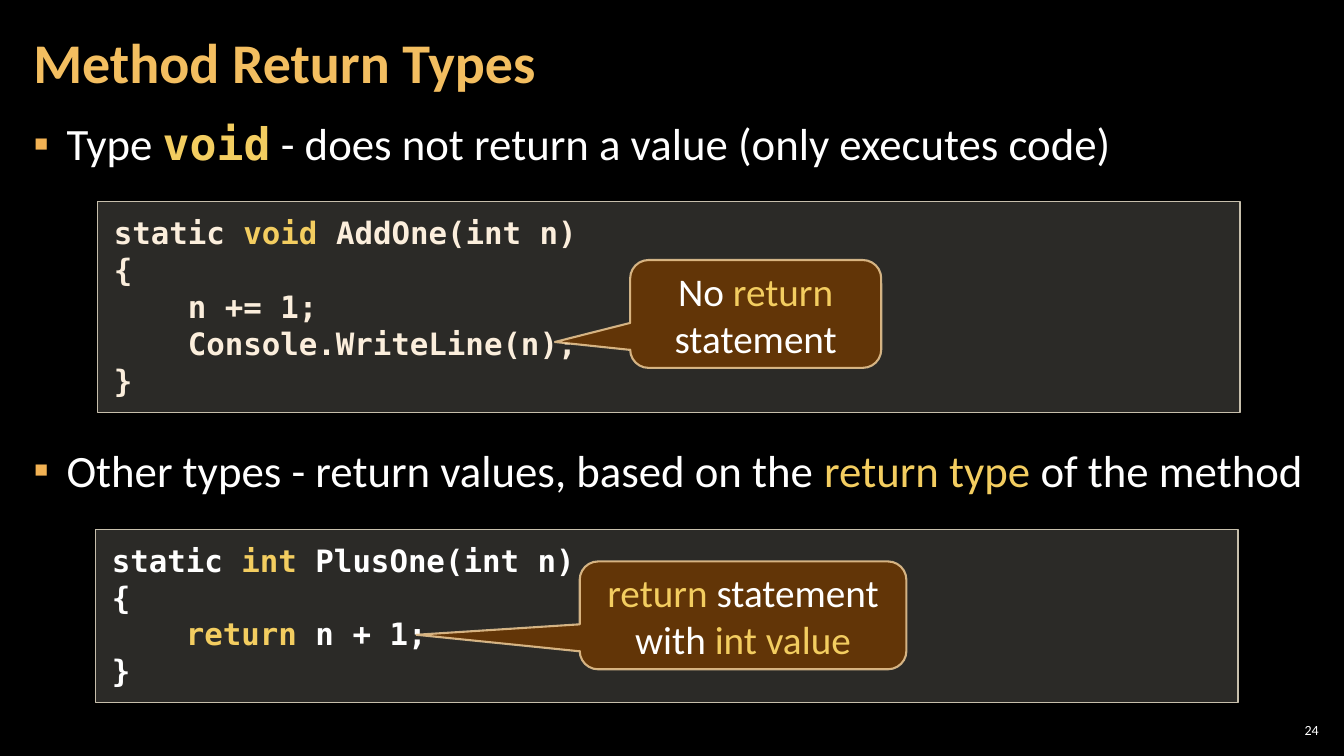
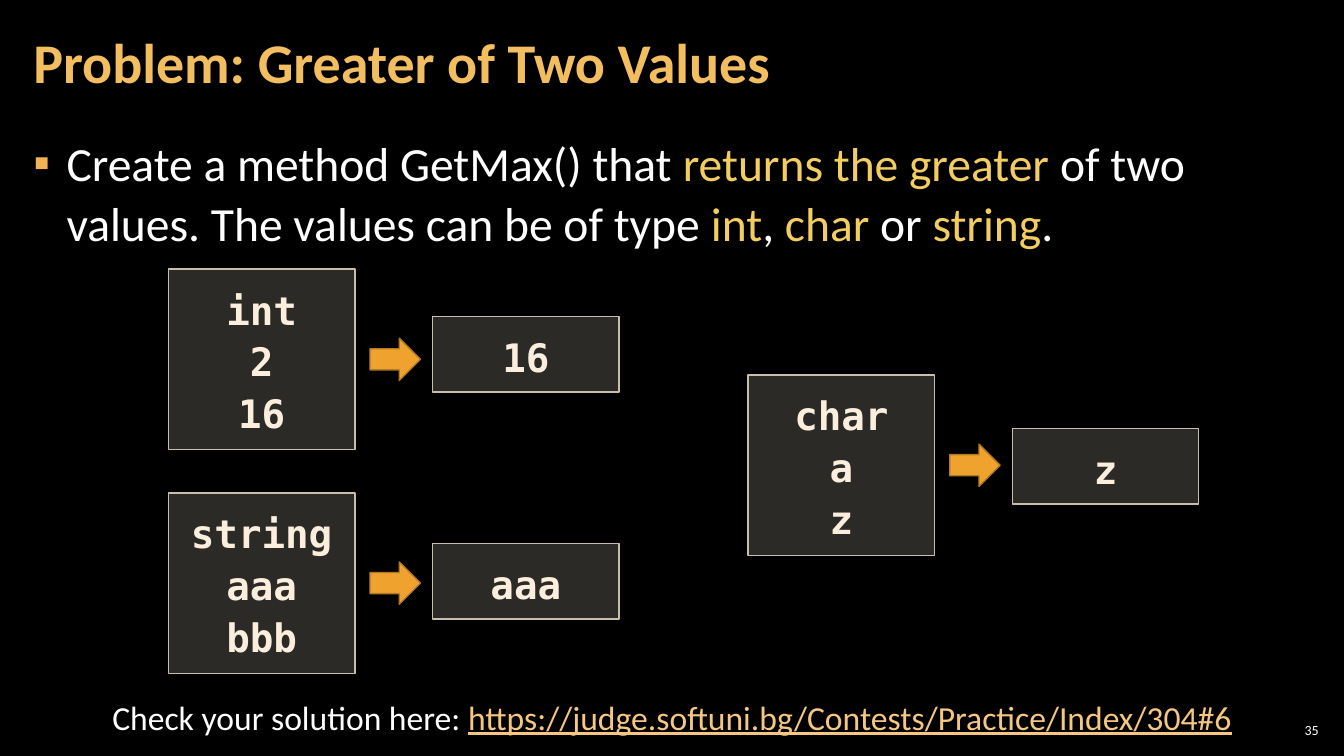
"""Build two slides about method return types."""
import lxml.etree
import pptx
import pptx.dml.color
import pptx.enum.shapes
import pptx.enum.text
import pptx.oxml.ns
import pptx.util

Inches = pptx.util.Inches
Pt = pptx.util.Pt
RGBColor = pptx.dml.color.RGBColor
Shape = pptx.enum.shapes.MSO_SHAPE
Align = pptx.enum.text.PP_ALIGN
Anchor = pptx.enum.text.MSO_ANCHOR
qn = pptx.oxml.ns.qn

BLACK = RGBColor(0x00, 0x00, 0x00)
WHITE = RGBColor(0xFF, 0xFF, 0xFF)
TITLE_GOLD = RGBColor(0xF3, 0xBE, 0x60)
BULLET_GOLD = RGBColor(0xF2, 0xB2, 0x54)
MARK_GOLD = RGBColor(0xF3, 0xCD, 0x60)
LINK_GOLD = RGBColor(0xF6, 0xC7, 0x81)
CREAM = RGBColor(0xFB, 0xEE, 0xDC)
BOX_FILL = RGBColor(0xD9, 0xD5, 0xC7)
BOX_LINE = RGBColor(0xC7, 0xBF, 0xAC)
CALLOUT_FILL = RGBColor(0x66, 0x36, 0x06)
CALLOUT_LINE = RGBColor(0xF8, 0xD4, 0x9E)
ARROW_FILL = RGBColor(0xF0, 0xA2, 0x2E)
ARROW_LINE = RGBColor(0xB2, 0x78, 0x22)

SANS = "Calibri"
MONO = "DejaVu Sans Mono"

# Text between bars is highlighted.
RETURN_BULLETS = [
    "Type |void| - does not return a value (only executes code)",
    "Other types - return values, based on the |return type| of the method",
]
CODE_BOXES = [
    ((0.97, 2, 11.33, 2.09), CREAM, [
        "static |void| AddOne(int n)",
        "{",
        "    n += 1;",
        "    Console.WriteLine(n);",
        "}",
    ]),
    ((0.95, 5.25, 11.33, 1.72), WHITE, [
        "static |int| PlusOne(int n)",
        "{",
        "    |return| n + 1;",
        "}",
    ]),
]
CALLOUTS = [
    ((6.25, 2.58, 2.49, 1.07), (-0.8, 0.26, 0.17), "No |return| statement"),
    ((5.75, 5.57, 3.24, 1.07), (-1, 0.18, 0.17),
     "|return| statement with |int value|"),
]
PROBLEM_BULLETS = [
    "Create a method GetMax() that |returns the greater| of two values. "
    "The values can be of type |int|, |char| or |string|.",
]
EXAMPLES = [
    (1.67, 2.67, 3.14, ["int", "2", "16"], "16"),
    (1.67, 4.89, 5.39, ["string", "aaa", "bbb"], "aaa"),
    (7.42, 3.72, 4.25, ["char", "a", "z"], "z"),
]
CHECK_LINE = ("Check your solution here: "
              "|https://judge.softuni.bg/Contests/Practice/Index/304#6|")
BOX_WIDTH, INPUT_HEIGHT, OUTPUT_HEIGHT = 1.85, 1.79, 0.75
ARROW_WIDTH, ARROW_HEIGHT = 0.5, 0.42
ARROW_OFFSET, OUTPUT_OFFSET = 2, 2.62


def place(shape, area):
    shape.left, shape.top, shape.width, shape.height = map(Inches, area)


def set_frame(frame, side=0.1, edge=0.05, anchor=Anchor.TOP):
    frame.word_wrap = True
    frame.auto_size = pptx.enum.text.MSO_AUTO_SIZE.NONE
    frame.margin_left = frame.margin_right = Inches(side)
    frame.margin_top = frame.margin_bottom = Inches(edge)
    frame.vertical_anchor = anchor


def add_bullet(para):
    properties = para._p.get_or_add_pPr()
    properties.set("marL", str(Inches(0.33)))
    properties.set("indent", str(-Inches(0.33)))
    color = lxml.etree.SubElement(properties, qn("a:buClr"))
    lxml.etree.SubElement(color, qn("a:srgbClr")).set("val", str(BULLET_GOLD))
    lxml.etree.SubElement(properties, qn("a:buChar")).set("char", "▪")


def write(frame, lines, size, color=WHITE, font=SANS, bold=False,
          align=Align.LEFT, spacing=None, bullet=False, mark=MARK_GOLD):
    for index, line in enumerate(lines):
        para = frame.add_paragraph() if index else frame.paragraphs[0]
        para.alignment = align
        para.line_spacing = spacing
        para.space_before = Pt(0)
        if bullet:
            add_bullet(para)
        para.font.name, para.font.size, para.font.bold = font, Pt(size), bold
        para.font.color.rgb = color
        for part, text in enumerate(line.split("|")):
            if text:
                span = para.add_run()
                span.text = text
                if part % 2:
                    span.font.color.rgb = mark


def set_opacity(fill_parent, percent):
    color = fill_parent.find(qn("a:solidFill")).find(qn("a:srgbClr"))
    lxml.etree.SubElement(color, qn("a:alpha")).set("val", str(percent * 1000))


def add_shape(page, kind, area, fill, line, width=1):
    shape = page.shapes.add_shape(kind, *map(Inches, area))
    shape.shadow.inherit = False
    shape.fill.solid()
    shape.fill.fore_color.rgb = fill
    shape.line.color.rgb = line
    shape.line.width = Pt(width)
    return shape


def add_box(page, area, lines, size, side, **style):
    box = add_shape(page, Shape.RECTANGLE, area, BOX_FILL, BOX_LINE)
    set_opacity(box._element.spPr, 20)
    set_frame(box.text_frame, side, 0.12)
    write(box.text_frame, lines, size, font=MONO, bold=True, **style)


def add_callout(page, area, adjustments, text):
    callout = add_shape(page, Shape.ROUNDED_RECTANGULAR_CALLOUT, area,
                        CALLOUT_FILL, CALLOUT_LINE, 1.5)
    for index, value in enumerate(adjustments):
        callout.adjustments[index] = value
    set_opacity(callout._element.spPr, 95)
    set_opacity(callout.line._ln, 80)
    set_frame(callout.text_frame, anchor=Anchor.MIDDLE)
    write(callout.text_frame, [text], 28, align=Align.CENTER)


def add_text(page, area, text, size, align, edge=0.05, **style):
    frame = page.shapes.add_textbox(*map(Inches, area)).text_frame
    set_frame(frame, edge=edge, side=edge, anchor=Anchor.MIDDLE)
    write(frame, [text], size, align=align, **style)
    return frame


def add_page(deck, title, number, bullets, body_top, body_size):
    page = deck.slides.add_slide(deck.slide_layouts[1])
    heading, body = page.shapes.title, page.placeholders[1]
    place(heading, (0.21, 0.04, 10.47, 1.21))
    set_frame(heading.text_frame, 0.12, 0.04, Anchor.MIDDLE)
    write(heading.text_frame, [title], 40, TITLE_GOLD, bold=True, spacing=0.9)
    place(body, (0.21, body_top, 12.91, 7.35 - body_top))
    set_frame(body.text_frame, 0.12, 0.04)
    write(body.text_frame, bullets, body_size, spacing=1.05, bullet=True)
    add_text(page, (12.65, 7.14, 0.47, 0.21), number, 10, Align.RIGHT, 0.04)
    return page, body.text_frame.paragraphs


def build_return_types(deck):
    page, bullets = add_page(deck, "Method Return Types", "24",
                             RETURN_BULLETS, 1.08, 32)
    keyword = bullets[0].runs[1].font
    keyword.name, keyword.bold = MONO, True
    bullets[1].space_before = Pt(193)
    for area, color, lines in CODE_BOXES:
        add_box(page, area, lines, 22, 0.16, color=color)
    for callout in CALLOUTS:
        add_callout(page, *callout)


def build_problem(deck):
    page, _ = add_page(deck, "Problem: Greater of Two Values", "35",
                       PROBLEM_BULLETS, 1.26, 34)
    style = dict(size=28, side=0.2, color=CREAM, align=Align.CENTER, spacing=1.1)
    for left, top, output_top, values, result in EXAMPLES:
        add_box(page, (left, top, BOX_WIDTH, INPUT_HEIGHT), values, **style)
        arrow_top = top + (INPUT_HEIGHT - ARROW_HEIGHT) / 2
        add_shape(page, Shape.RIGHT_ARROW,
                  (left + ARROW_OFFSET, arrow_top, ARROW_WIDTH, ARROW_HEIGHT),
                  ARROW_FILL, ARROW_LINE)
        add_box(page, (left + OUTPUT_OFFSET, output_top, BOX_WIDTH, OUTPUT_HEIGHT),
                [result], **style)
    check = add_text(page, (0.68, 6.86, 11.97, 0.5), CHECK_LINE, 24,
                     Align.CENTER, mark=LINK_GOLD)
    check.paragraphs[0].runs[1].font.underline = True


def main():
    deck = pptx.Presentation()
    deck.slide_width, deck.slide_height = Inches(13.33), Inches(7.5)
    background = deck.slide_master.background.fill
    background.solid()
    background.fore_color.rgb = BLACK
    build_return_types(deck)
    build_problem(deck)
    deck.save("out.pptx")


if __name__ == "__main__":
    main()
